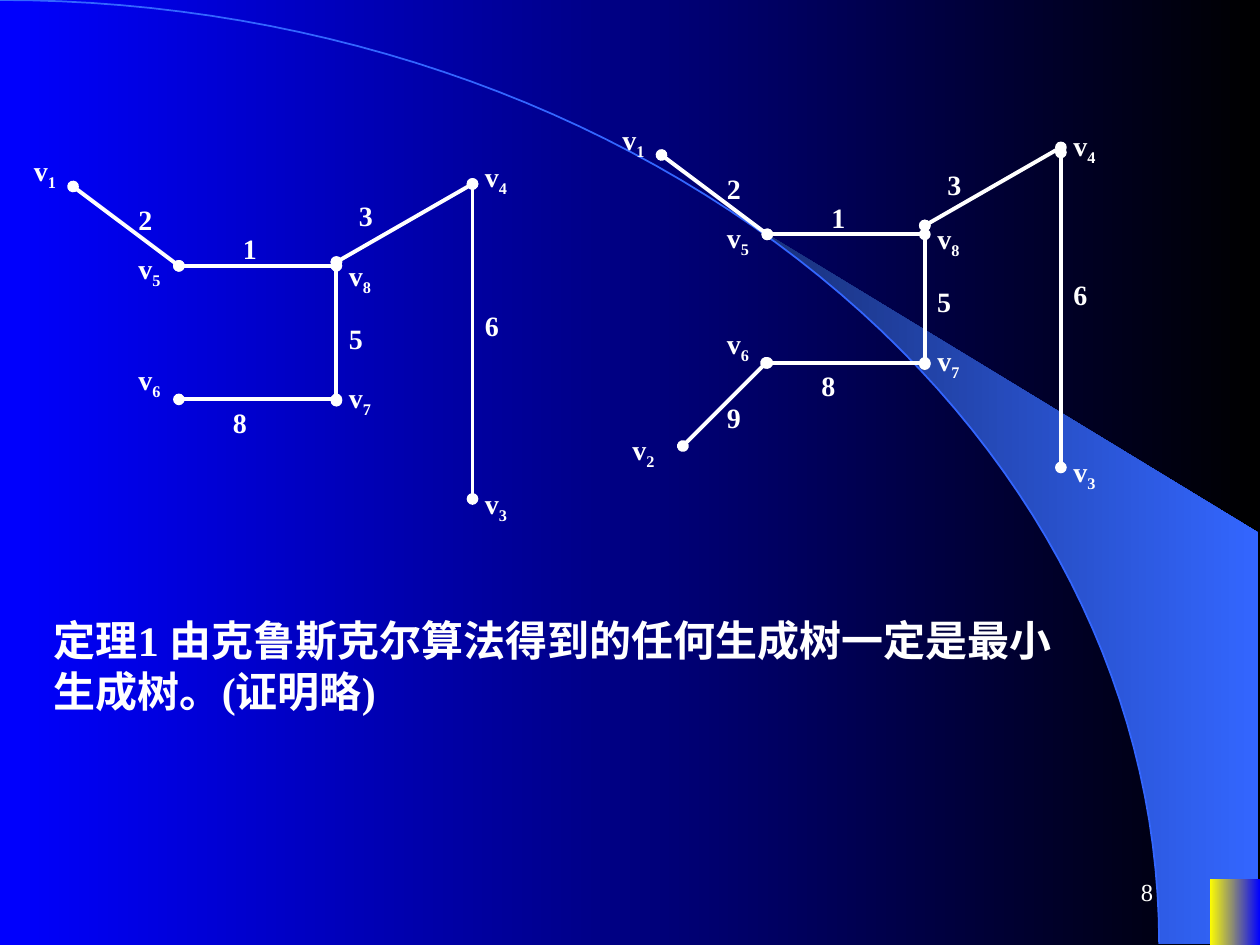
from math import asin, cos, pi, sin

from lxml import etree
from pptx import Presentation
from pptx.dml.color import RGBColor
from pptx.enum.shapes import MSO_CONNECTOR, MSO_SHAPE
from pptx.enum.text import MSO_ANCHOR, MSO_AUTO_SIZE, PP_ALIGN
from pptx.oxml.ns import qn
from pptx.util import Inches, Pt

WHITE = RGBColor(0xFF, 0xFF, 0xFF)
BLUE = RGBColor(0x00, 0x00, 0xFF)
BLACK = RGBColor(0x00, 0x00, 0x00)
YELLOW = RGBColor(0xFF, 0xFF, 0x00)
NAVY = RGBColor(0x18, 0x2F, 0x76)
SKY = RGBColor(0x33, 0x66, 0xFF)
FONT = "Times New Roman"

ARC_WIDTH, ARC_HEIGHT = 9.2, 7.49
WEDGE_TIP = 5.89

OUTER_EDGES = [
    (1.42, 2.11, 2.67, 2.11),
    (3.75, 1.46, 3.75, 3.96),
    (0.58, 1.48, 1.42, 2.11),
]
INNER_EDGES = [
    (2.67, 2.08, 2.67, 3.18),
    (3.75, 1.46, 2.67, 2.08),
    (1.42, 3.17, 2.67, 3.17),
]
OUTER_LABELS = [
    ("3", 2.75, 1.53), ("2", 1, 1.56), ("1", 1.83, 1.79), ("6", 3.75, 2.4),
    ("v1", 0.17, 1.17), ("v4", 3.75, 1.22), ("v5", 1, 1.95), ("v3", 3.75, 3.81),
]
INNER_LABELS = [
    ("5", 2.67, 2.5), ("8", 1.75, 3.17),
    ("v7", 2.67, 2.97), ("v8", 2.67, 2), ("v6", 1, 2.83),
]


def set_gradient(fill, start, end):
    fill.gradient()
    fill.gradient_angle = 0
    for stop, color in zip(fill.gradient_stops, (start, end)):
        stop.color.rgb = color


def arc_points(start, steps=60):
    angles = [start + (pi / 2 - start) * i / steps for i in range(steps + 1)]
    return [(ARC_WIDTH * sin(a), ARC_HEIGHT * (1 - cos(a))) for a in angles]


def add_outline(s, points, close):
    scaled = [(Inches(x), Inches(y)) for x, y in points]
    builder = s.shapes.build_freeform(*scaled[0])
    builder.add_line_segments(scaled[1:], close=close)
    sp = builder.convert_to_shape()
    sp.shadow.inherit = False
    return sp


def add_backdrop(s):
    set_gradient(s.background.fill, BLUE, BLACK)
    wedge_edge = arc_points(asin(WEDGE_TIP / ARC_WIDTH))
    wedge = add_outline(s, wedge_edge + [(9.99, 7.49), (9.99, 4.23)], True)
    set_gradient(wedge.fill, NAVY, SKY)
    wedge.line.fill.background()

    arc = add_outline(s, arc_points(0), False)
    arc.fill.background()
    arc.line.color.rgb = SKY
    arc.line.width = Pt(1)

    corner = s.shapes.add_shape(
        MSO_SHAPE.RECTANGLE, Inches(9.6), Inches(6.98), Inches(0.4), Inches(0.52))
    corner.shadow.inherit = False
    set_gradient(corner.fill, YELLOW, BLUE)
    corner.line.fill.background()


def add_text(shapes, text, left, top, width, height, size, bold=True):
    sp = shapes.add_textbox(Inches(left), Inches(top), Inches(width), Inches(height))
    tf = sp.text_frame
    tf.word_wrap = True
    tf.text = text
    format_run(tf.paragraphs[0].runs[0], size, bold)
    return tf


def format_run(r, size, bold):
    r.font.name = FONT
    r.font.size = Pt(size)
    r.font.bold = bold
    r.font.color.rgb = WHITE


def add_label(group, text, left, top):
    is_vertex = text.startswith("v")
    width, height = (0.52, 0.41) if is_vertex else (0.43, 0.37)
    tf = add_text(group.shapes, text[0], left, top, width, height, 16)
    tf.auto_size = MSO_AUTO_SIZE.SHAPE_TO_FIT_TEXT
    if is_vertex:
        r = tf.paragraphs[0].add_run()
        r.text = text[1:]
        format_run(r, 16, True)
        r.font._element.set("baseline", "-25000")


def add_edge(group, x1, y1, x2, y2):
    edge = group.shapes.add_connector(
        MSO_CONNECTOR.STRAIGHT, Inches(x1), Inches(y1), Inches(x2), Inches(y2))
    edge.line.color.rgb = WHITE
    edge.line.width = Pt(2.25)
    ln = edge.line._get_or_add_ln()
    for tag in ("a:headEnd", "a:tailEnd"):
        etree.SubElement(ln, qn(tag), type="oval")
    etree.SubElement(edge._element.spPr, qn("a:effectLst"))


def add_tree(s, dx, outer_dy, inner_dy):
    group = s.shapes.add_group_shape()
    parts = [
        (OUTER_EDGES, OUTER_LABELS, outer_dy),
        (INNER_EDGES, INNER_LABELS, inner_dy),
    ]
    for edges, labels, dy in parts:
        for x1, y1, x2, y2 in edges:
            add_edge(group, x1 + dx, y1 + dy, x2 + dx, y2 + dy)
        for text, left, top in labels:
            add_label(group, text, left + dx, top + dy)
    return group


def main():
    prs = Presentation()
    prs.slide_width, prs.slide_height = Inches(10), Inches(7.5)
    s = prs.slides.add_slide(prs.slide_layouts[6])
    add_backdrop(s)

    number = add_text(s.shapes, "8", 7.17, 6.83, 2.08, 0.5, 14, False)
    number.vertical_anchor = MSO_ANCHOR.MIDDLE
    number.paragraphs[0].alignment = PP_ALIGN.RIGHT

    add_tree(s, 0, 0, 0)
    full_tree = add_tree(s, 4.67, -0.25, -0.29)
    add_edge(full_tree, 6.08, 2.88, 5.42, 3.54)
    add_label(full_tree, "v2", 4.92, 3.38)
    add_label(full_tree, "9", 5.67, 3.13)

    theorem = "定理1 由克鲁斯克尔算法得到的任何生成树一定是最小生成树。(证明略)"
    tf = add_text(s.shapes, theorem, 0.33, 4.83, 8.25, 0.9, 24)
    tf.auto_size = MSO_AUTO_SIZE.SHAPE_TO_FIT_TEXT
    prs.save("out.pptx")


if __name__ == "__main__":
    main()
